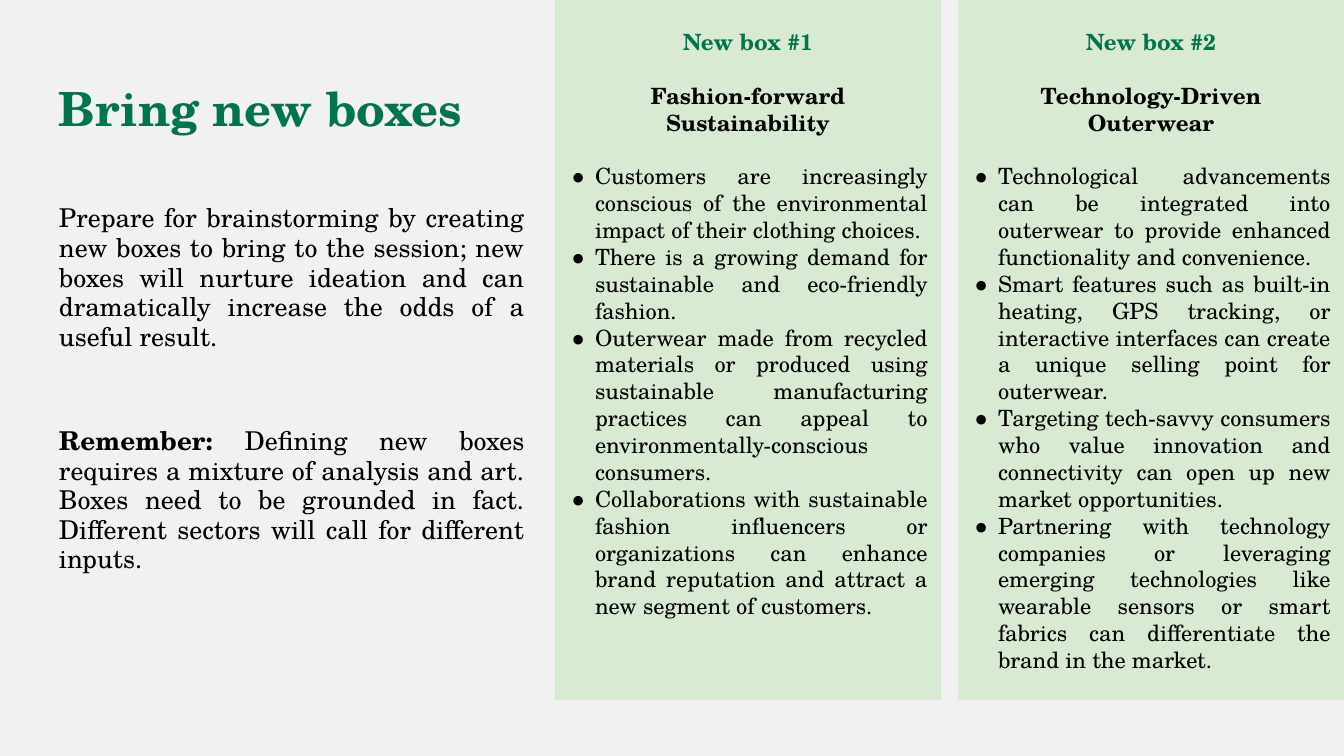
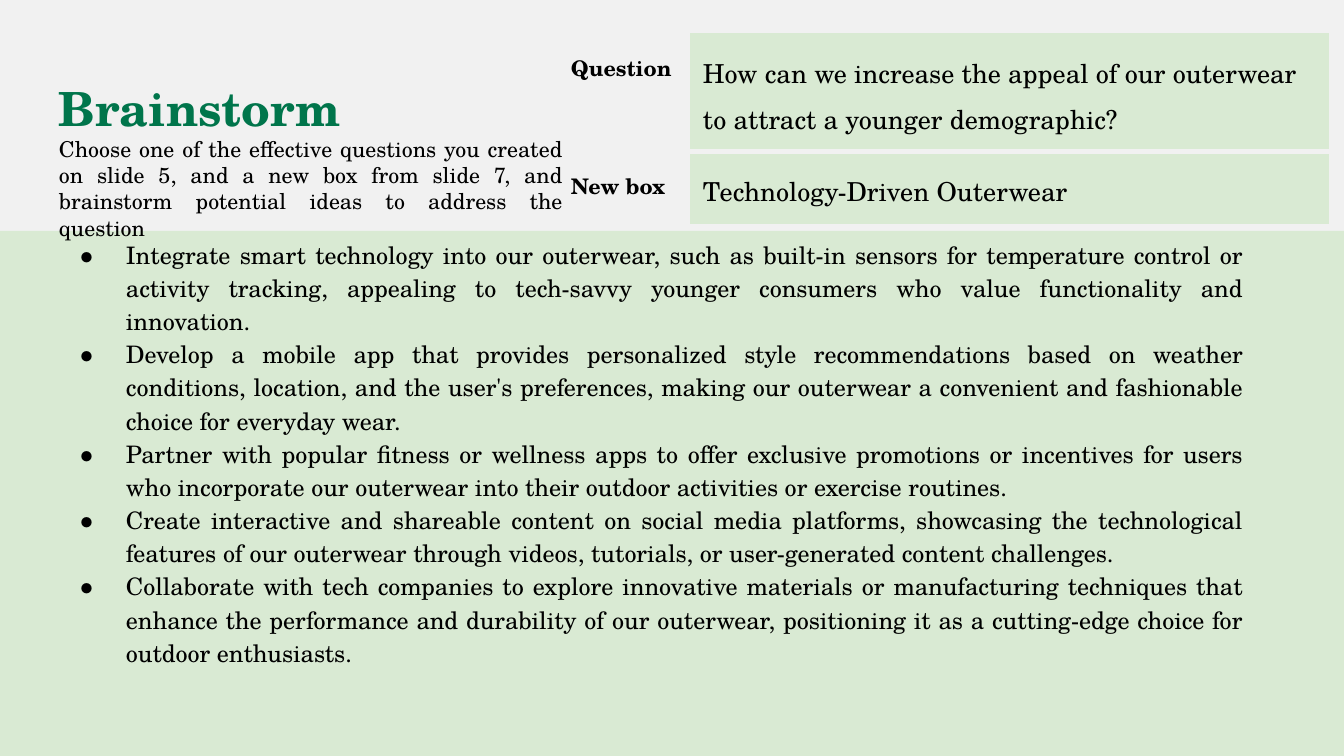
from dataclasses import dataclass

from lxml import etree
from pptx import Presentation
from pptx.dml.color import RGBColor
from pptx.enum.shapes import MSO_SHAPE
from pptx.enum.text import MSO_ANCHOR, MSO_AUTO_SIZE, PP_ALIGN
from pptx.oxml.ns import qn
from pptx.util import Emu, Pt

RECTANGLE = MSO_SHAPE.RECTANGLE
TOP, MIDDLE = MSO_ANCHOR.TOP, MSO_ANCHOR.MIDDLE
LEFT, CENTER, JUSTIFY = PP_ALIGN.LEFT, PP_ALIGN.CENTER, PP_ALIGN.JUSTIFY
NO_FIT = MSO_AUTO_SIZE.NONE

SLIDE_W, SLIDE_H = 1344, 756
EMU_PER_PX = 914400 / 134.4
TITLE_ONLY_PLAIN_GRID = "{2D5ABB26-0587-4C30-8999-92F81FD0307C}"


def px(length):
    return Emu(round(length * EMU_PER_PX))


@dataclass(frozen=True)
class Theme:
    font: str = "TeX Gyre Schola"
    paper: str = "F1F1F1"
    panel: str = "D9EAD3"
    accent: str = "00754B"
    ink: str = "000000"
    title: float = 25.2
    intro: float = 13.9
    subtitle: float = 11.7
    box: float = 12
    ideas: float = 12.9
    label: float = 11.5
    answer: float = 14
    inset: int = 13


class Deck:
    """Holds the style and the current slide."""

    def __init__(self, theme):
        self.theme = theme
        self.prs = Presentation()
        self.prs.slide_width, self.prs.slide_height = px(SLIDE_W), px(SLIDE_H)
        self.paint(self.prs.slide_master.background.fill, theme.paper)
        self.slide = None

    def new_slide(self):
        self.slide = self.prs.slides.add_slide(self.prs.slide_layouts[1])

    def paint(self, fill, color):
        fill.solid()
        fill.fore_color.rgb = RGBColor.from_string(color)

    # Text
    def frame(self, shape, anchor, top_inset=None):
        text = shape.text_frame
        text.word_wrap, text.auto_size = True, NO_FIT
        text.vertical_anchor = anchor
        inset = px(self.theme.inset)
        text.margin_left = text.margin_right = text.margin_bottom = inset
        text.margin_top = inset if top_inset is None else px(top_inset)
        return text

    def paragraph(self, text, runs, size, align=JUSTIFY, color=None,
                  spacing=1.0, before=0, bullet=None):
        """runs: (words, bold) pairs; bullet: (left margin, hanging) in pixels."""
        first = text.paragraphs[0]
        par = text.add_paragraph() if first.runs else first
        par.alignment, par.line_spacing = align, spacing
        par.space_before, par.space_after = Pt(before), Pt(0)
        for words, bold in runs:
            run = par.add_run()
            run.text = words
            run.font.name, run.font.size, run.font.bold = self.theme.font, Pt(size), bold
            run.font.color.rgb = RGBColor.from_string(color or self.theme.ink)
        self.set_bullet(par, bullet)

    def set_bullet(self, par, bullet):
        props = par._p.get_or_add_pPr()
        margin, hanging = bullet or (0, 0)
        props.set("marL", str(px(margin)))
        props.set("indent", str(-px(hanging)))
        if not bullet:
            etree.SubElement(props, qn("a:buNone"))
            return
        tint = etree.SubElement(props, qn("a:buClr"))
        etree.SubElement(tint, qn("a:srgbClr"), val=self.theme.ink)
        etree.SubElement(props, qn("a:buFont"), typeface=self.theme.font)
        etree.SubElement(props, qn("a:buChar"), char="●")

    # Placeholders
    def place(self, holder, left, top, width, height):
        holder.left, holder.top = px(left), px(top)
        holder.width, holder.height = px(width), px(height)

    def title(self, words, width, align=LEFT, subtitle=None):
        holder = self.slide.shapes.title
        self.place(holder, 46, 66, width, 84)
        text = self.frame(holder, TOP)
        self.paragraph(text, [(words, True)], self.theme.title, align, self.theme.accent)
        if subtitle:
            self.paragraph(text, [(subtitle, False)], self.theme.subtitle, align)

    def body(self, top, width, height):
        holder = self.slide.placeholders[1]
        self.place(holder, 46, top, width, height)
        return self.frame(holder, MIDDLE)

    # Panels
    def panel(self, left, top, width, height):
        shape = self.slide.shapes.add_shape(
            RECTANGLE, px(left), px(top), px(width), px(height))
        shape.shadow.inherit = False
        self.paint(shape.fill, self.theme.panel)
        shape.line.fill.background()
        return shape

    def band(self, top):
        shape = self.panel(0, top, SLIDE_W, SLIDE_H - top)
        self.slide.shapes._spTree.insert(2, shape._element)

    def idea_box(self, left, width, heading, name_lines, points):
        size, line_gap = self.theme.box, self.theme.box * 1.2
        text = self.frame(self.panel(left, 0, width, 700), TOP, top_inset=28)
        self.paragraph(text, [(heading, True)], size, CENTER, self.theme.accent)
        for i, line in enumerate(name_lines):
            self.paragraph(text, [(line, True)], size, CENTER,
                           before=0 if i else line_gap)
        for i, point in enumerate(points):
            self.paragraph(text, [(point, False)], size, bullet=(27, 25),
                           before=0 if i else line_gap)

    # Table
    def brief_table(self, left, top, widths, row_height, rows):
        table = self.slide.shapes.add_table(
            len(rows), len(widths), px(left), px(top),
            px(sum(widths)), px(row_height * len(rows))).table
        table.first_row = table.horz_banding = False
        table._tbl.tblPr.find(qn("a:tableStyleId")).text = TITLE_ONLY_PLAIN_GRID
        for column, width in zip(table.columns, widths):
            column.width = px(width)
        for r, (label, answer) in enumerate(rows):
            table.rows[r].height = px(row_height)
            label_cell, answer_cell = table.cell(r, 0), table.cell(r, 1)
            label_cell.fill.background()
            self.cell_edge(answer_cell, "a:lnT" if r else "a:lnB")
            self.paint(answer_cell.fill, self.theme.panel)
            self.cell_text(label_cell, label, self.theme.label, True, 1.15)
            self.cell_text(answer_cell, answer, self.theme.answer, False, 1.2)

    def cell_text(self, cell, words, size, bold, spacing):
        inset = px(self.theme.inset)
        cell.margin_left = cell.margin_right = inset
        cell.margin_top = cell.margin_bottom = inset
        self.paragraph(cell.text_frame, [(words, bold)], size, LEFT, spacing=spacing)

    def cell_edge(self, cell, side):
        props = cell._tc.get_or_add_tcPr()
        edge = etree.SubElement(props, qn(side), w=str(Pt(3)))
        solid = etree.SubElement(edge, qn("a:solidFill"))
        etree.SubElement(solid, qn("a:srgbClr"), val=self.theme.paper)


theme = Theme()
deck = Deck(theme)

# Slide 1: new boxes
deck.new_slide()
deck.title("Bring new boxes", 1253)
intro = deck.body(169, 492, 441)
deck.paragraph(intro, [(
    "Prepare for brainstorming by creating new boxes to bring to the session; new boxes "
    "will nurture ideation and can dramatically increase the odds of a useful result.",
    False)], theme.intro, spacing=0.95)
deck.paragraph(intro, [
    ("Remember:", True),
    (" Defining new boxes requires a mixture of analysis and art. Boxes need to be "
     "grounded in fact. Different sectors will call for different inputs.", False),
], theme.intro, spacing=0.95, before=40)

BOXES = [
    ("New box #1", ["Fashion-forward", "Sustainability"], [
        "Customers are increasingly conscious of the environmental impact of their "
        "clothing choices.",
        "There is a growing demand for sustainable and eco-friendly fashion.",
        "Outerwear made from recycled materials or produced using sustainable "
        "manufacturing practices can appeal to environmentally-conscious consumers.",
        "Collaborations with sustainable fashion influencers or organizations can "
        "enhance brand reputation and attract a new segment of customers.",
    ]),
    ("New box #2", ["Technology-Driven", "Outerwear"], [
        "Technological advancements can be integrated into outerwear to provide "
        "enhanced functionality and convenience.",
        "Smart features such as built-in heating, GPS tracking, or interactive "
        "interfaces can create a unique selling point for outerwear.",
        "Targeting tech-savvy consumers who value innovation and connectivity can "
        "open up new market opportunities.",
        "Partnering with technology companies or leveraging emerging technologies like "
        "wearable sensors or smart fabrics can differentiate the brand in the market.",
    ]),
]
BOX_W, BOX_GAP = 386, 17
for i, (heading, name_lines, points) in enumerate(BOXES):
    deck.idea_box(555 + i * (BOX_W + BOX_GAP), BOX_W, heading, name_lines, points)

# Slide 2: brainstorm
deck.new_slide()
deck.band(231)
deck.title("Brainstorm", 530, JUSTIFY,
           "Choose one of the effective questions you created on slide 5, and a new box "
           "from slide 7, and brainstorm potential ideas to address the question")
deck.brief_table(558, 33, [132, 639], 69, [
    ("Question",
     "How can we increase the appeal of our outerwear to attract a younger demographic?"),
    ("New box", "Technology-Driven Outerwear"),
])

IDEAS = [
    "Integrate smart technology into our outerwear, such as built-in sensors for "
    "temperature control or activity tracking, appealing to tech-savvy younger consumers "
    "who value functionality and innovation.",
    "Develop a mobile app that provides personalized style recommendations based on "
    "weather conditions, location, and the user's preferences, making our outerwear a "
    "convenient and fashionable choice for everyday wear.",
    "Partner with popular fitness or wellness apps to offer exclusive promotions or "
    "incentives for users who incorporate our outerwear into their outdoor activities "
    "or exercise routines.",
    "Create interactive and shareable content on social media platforms, showcasing the "
    "technological features of our outerwear through videos, tutorials, or user-generated "
    "content challenges.",
    "Collaborate with tech companies to explore innovative materials or manufacturing "
    "techniques that enhance the performance and durability of our outerwear, positioning "
    "it as a cutting-edge choice for outdoor enthusiasts.",
]
ideas = deck.body(231, 1210, 441)
for idea in IDEAS:
    deck.paragraph(ideas, [(idea, False)], theme.ideas, spacing=1.15, bullet=(67, 48))

deck.prs.save("out.pptx")
